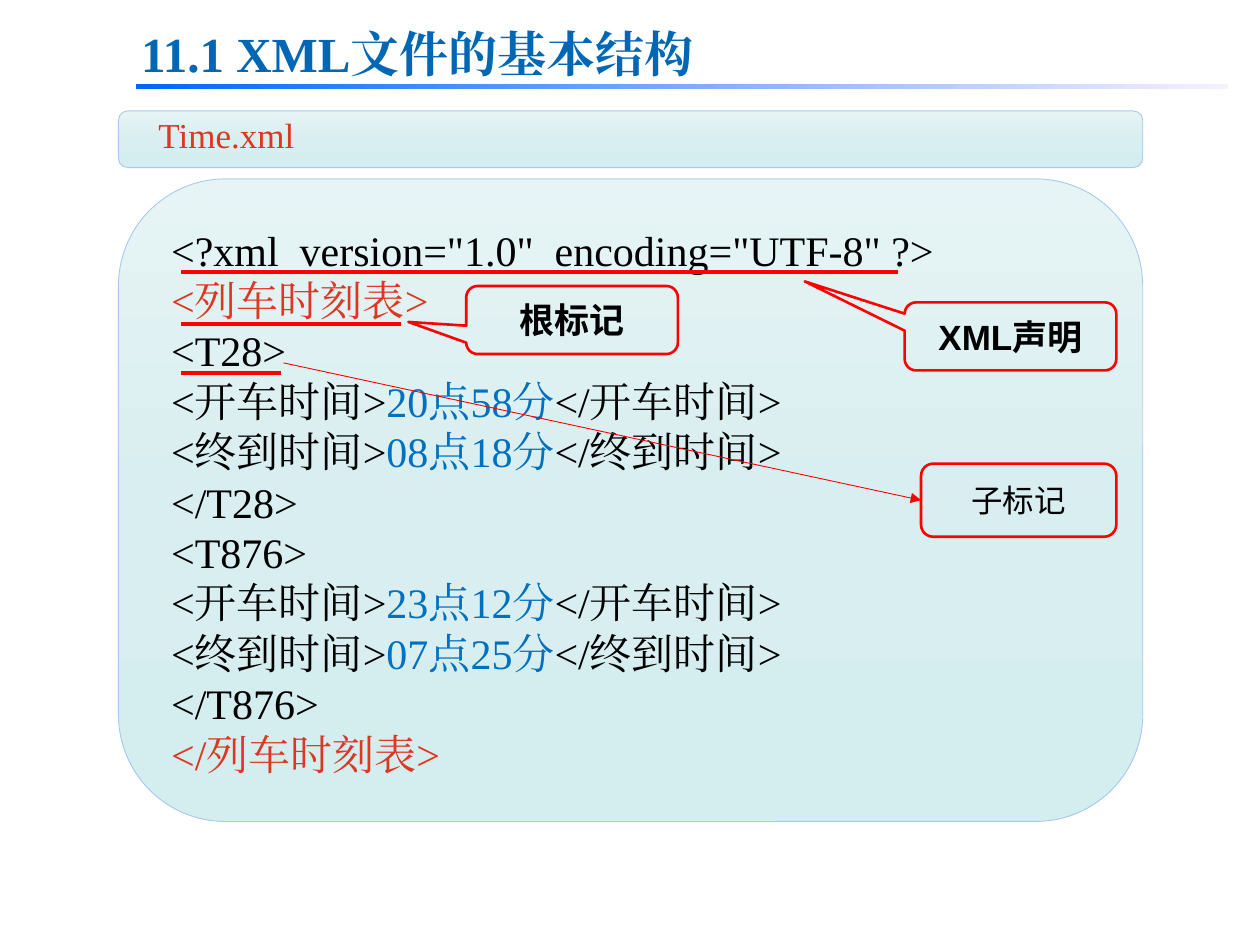
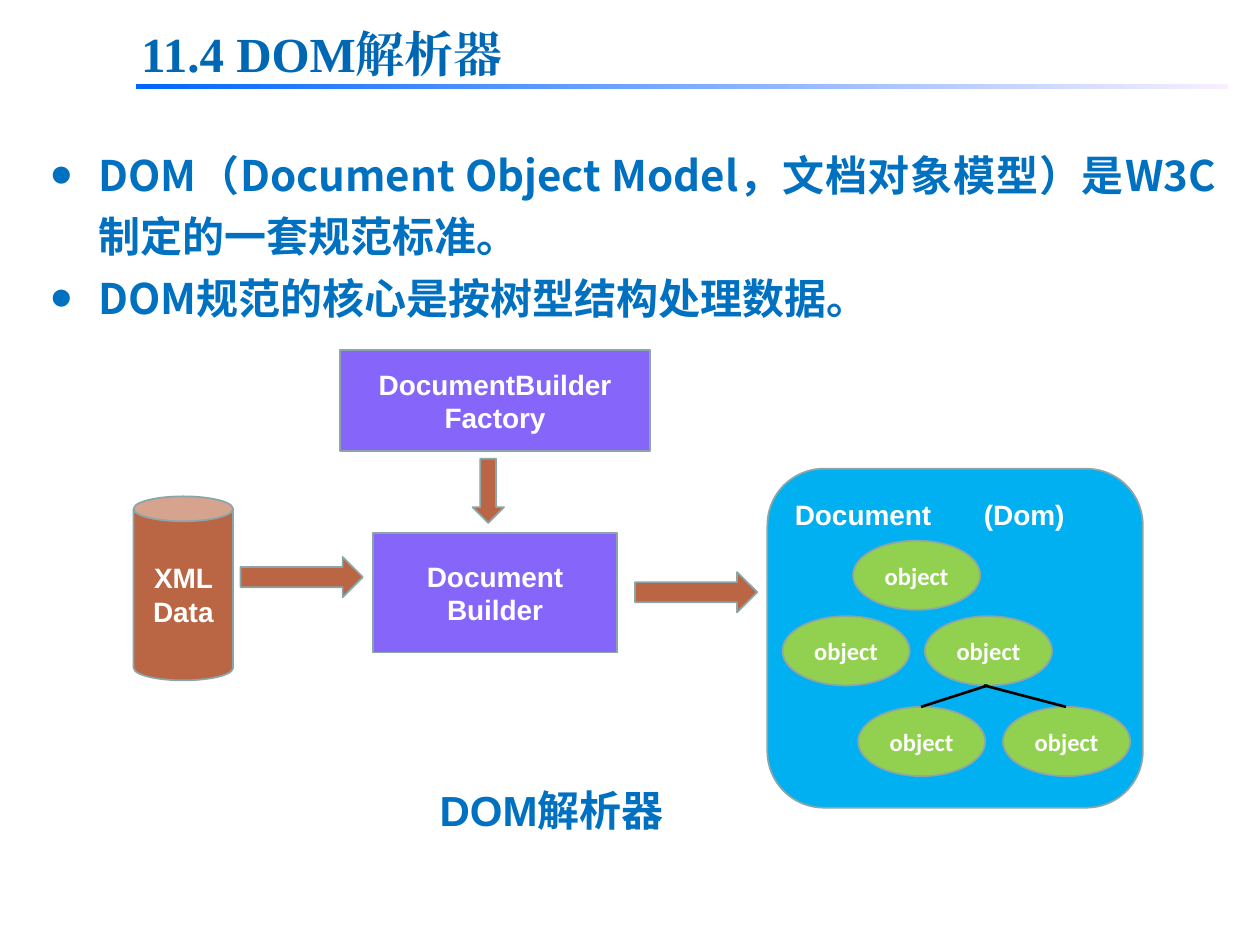
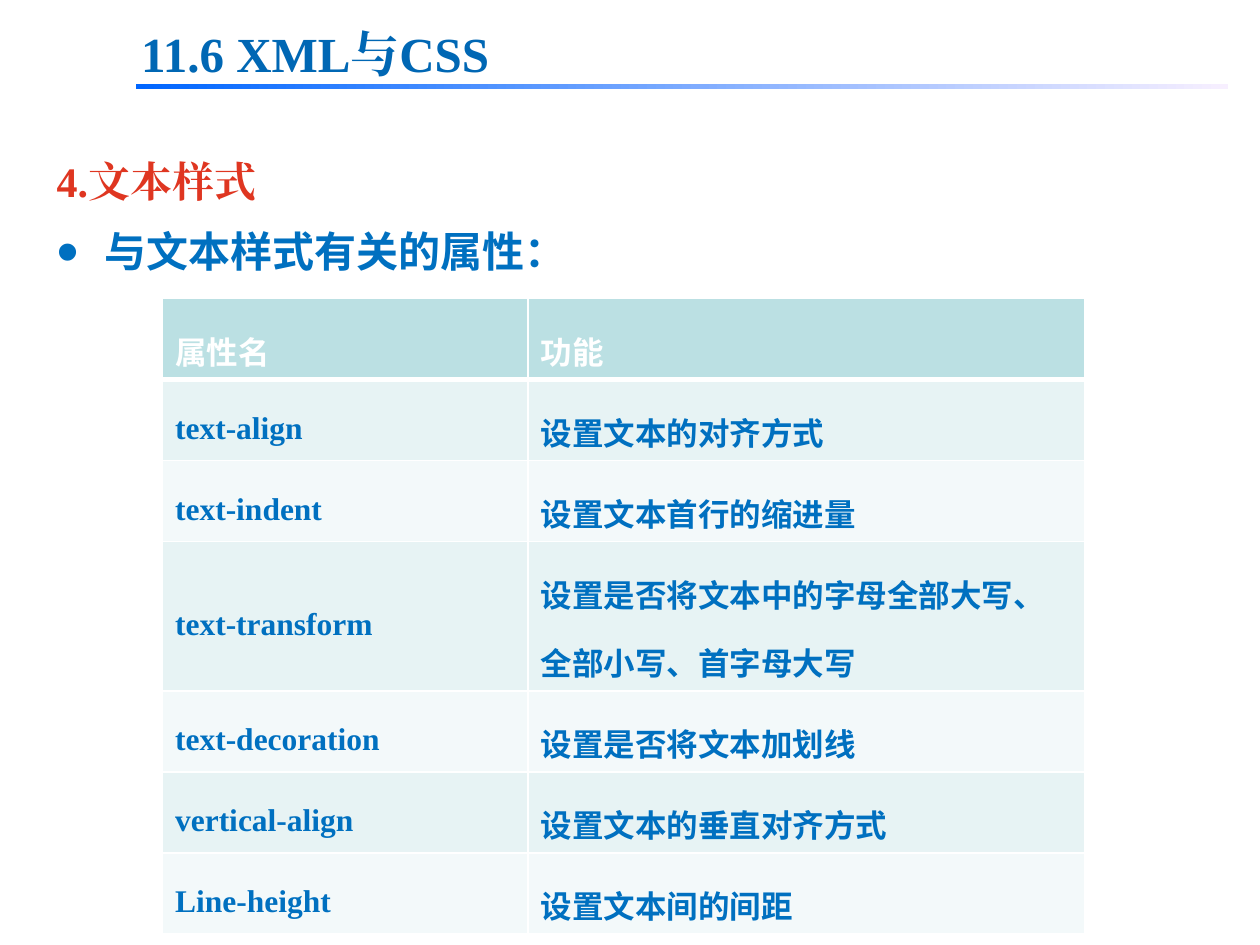
from copy import deepcopy

from lxml.etree import SubElement
from pptx import Presentation
from pptx.dml.color import RGBColor
from pptx.enum.shapes import MSO_CONNECTOR, MSO_SHAPE
from pptx.enum.text import MSO_ANCHOR, MSO_AUTO_SIZE, PP_ALIGN
from pptx.oxml.ns import qn
from pptx.util import Inches, Pt

# Shared colours and fonts
BLACK = RGBColor(0x00, 0x00, 0x00)
WHITE = RGBColor(0xFF, 0xFF, 0xFF)
RED = RGBColor(0xFF, 0x00, 0x00)
BRICK = RGBColor(0xDF, 0x36, 0x21)
BLUE = RGBColor(0x00, 0x70, 0xC0)
NAVY = RGBColor(0x00, 0x67, 0xB4)
PURPLE = RGBColor(0x86, 0x66, 0xFA)
RUST = RGBColor(0xBA, 0x66, 0x44)
SKY = RGBColor(0x00, 0xB0, 0xF0)
GREEN = RGBColor(0x92, 0xD0, 0x50)
GREY = RGBColor(0x8A, 0xA6, 0xA8)
EDGE = RGBColor(0xA8, 0xC9, 0xEF)
HEAD = RGBColor(0xBB, 0xE0, 0xE3)
ROWS = [RGBColor(0xE7, 0xF3, 0xF4), RGBColor(0xF3, 0xF9, 0xFA)]
BAND = [RGBColor(0x00, 0x66, 0xFF), RGBColor(0xF7, 0xEF, 0xFF)]
PALE = [RGBColor(0xE6, 0xF4, 0xF5), RGBColor(0xD9, 0xEE, 0xF0),
        RGBColor(0xD4, 0xED, 0xEF)]
SERIF, SANS, ROUND = "Times New Roman", "Arial", "Calibri"
HAN = "Noto Sans CJK SC"


def place(left, top, width, height):
    return Inches(left), Inches(top), Inches(width), Inches(height)


def write(frame, lines, size=16, font=SANS, color=BLACK, bold=False,
          align=PP_ALIGN.LEFT, space=None, east=None, bullet=False,
          before=0, tab=None, more=False):
    """Write lines; each is a string or a list of (text, colour) runs."""
    for num, line in enumerate(lines):
        fresh = more or num
        para = frame.add_paragraph() if fresh else frame.paragraphs[0]
        para.alignment = align
        para.line_spacing = space or Pt(1.2 * size)
        para.space_before, para.space_after = Pt(before), Pt(0)
        props = para._p.get_or_add_pPr()
        props.set("marL", str(Inches(0.38 if bullet else 0)))
        props.set("indent", str(Inches(-0.38 if bullet else 0)))
        if bullet:
            SubElement(props, qn("a:buSzPct"), val="150000")
            SubElement(props, qn("a:buFont"), typeface=SANS)
            SubElement(props, qn("a:buChar"), char="•")
        else:
            SubElement(props, qn("a:buNone"))
        if tab:
            stops = SubElement(props, qn("a:tabLst"))
            SubElement(stops, qn("a:tab"), pos=str(Inches(tab)), algn="l")
        for text, tint in [(line, color)] if isinstance(line, str) else line:
            run = para.add_run()
            run.text = text
            run.font.size, run.font.bold = Pt(size), bold
            run.font.color.rgb = tint
            run.font.name = font
            SubElement(run._r.rPr, qn("a:ea"), typeface=east or font)


def label(slide, spot, lines, **fmt):
    box = slide.shapes.add_textbox(*place(*spot))
    box.text_frame.word_wrap = True
    write(box.text_frame, lines, **fmt)


def shape(slide, kind, spot, fill=None, line=None, width=1, text=None,
          adjust=(), inset=0.1, **fmt):
    """Add a preset shape; a list of fill colours makes a gradient."""
    item = slide.shapes.add_shape(kind, *place(*spot))
    item.shadow.inherit = False
    for num, value in enumerate(adjust):
        item.adjustments[num] = value
    if isinstance(fill, list):
        blend(item, fill)
    elif fill is None:
        item.fill.background()
    else:
        item.fill.solid()
        item.fill.fore_color.rgb = fill
    if line is None:
        item.line.fill.background()
    else:
        item.line.color.rgb, item.line.width = line, Pt(width)
    if text:
        frame = item.text_frame
        frame.word_wrap = True
        frame.vertical_anchor = MSO_ANCHOR.MIDDLE
        frame.margin_left = frame.margin_right = Inches(inset)
        write(frame, [text], align=PP_ALIGN.CENTER, **fmt)
    return item


def blend(item, colors):
    item.fill.gradient()
    stops = item._element.spPr.find(".//" + qn("a:gsLst"))
    while len(stops) < len(colors):
        stops.append(deepcopy(stops[0]))
    for num, (stop, color) in enumerate(zip(item.fill.gradient_stops, colors)):
        stop.color.rgb = color
        stop.position = num / (len(colors) - 1)


def stroke(slide, start, end, color, width, arrow=False):
    line = slide.shapes.add_connector(
        MSO_CONNECTOR.STRAIGHT, *map(Inches, start + end))
    line.line.color.rgb, line.line.width = color, Pt(width)
    if arrow:
        SubElement(line.line._get_or_add_ln(), qn("a:tailEnd"), type="triangle")
    SubElement(line._element.spPr, qn("a:effectLst"))


def holder(item, spot):
    """Move a placeholder and return its plain text frame."""
    item.left, item.top, item.width, item.height = place(*spot)
    frame = item.text_frame
    frame.auto_size = MSO_AUTO_SIZE.NONE
    frame.vertical_anchor = MSO_ANCHOR.TOP
    frame.word_wrap = True
    return frame


def page(deck, layout, title):
    """Add a slide with the shared title and gradient band."""
    slide = deck.slides.add_slide(deck.slide_layouts[layout])
    write(holder(slide.shapes.title, (1.02, 0.14, 5.09, 0.57)), [title],
          size=28, font=SERIF, color=NAVY, bold=True, align=PP_ALIGN.JUSTIFY)
    band = shape(slide, MSO_SHAPE.RECTANGLE, (1.08, 0.67, 8.67, 0.04), BAND)
    band.fill.gradient_angle = 0
    return slide


def panel(slide, spot):
    item = shape(slide, MSO_SHAPE.ROUNDED_RECTANGLE, spot, PALE, EDGE, 0.5)
    item.fill.gradient_angle = 270


def train(name, start, end):
    """Return the code lines of one train."""
    pairs = [("开车时间", start), ("终到时间", end)]
    rows = [[(f"<{tag}>", BLACK), (time, BLUE), (f"</{tag}>", BLACK)]
            for tag, time in pairs]
    return [f"<{name}>", *rows, f"</{name}>"]


def grid(slide, spot, widths, heights, rows):
    table = slide.shapes.add_table(
        len(rows), len(widths), *place(*spot)).table
    for col, width in zip(table.columns, widths):
        col.width = Inches(width)
    for num, (row, height) in enumerate(zip(rows, heights)):
        table.rows[num].height = Inches(height)
        for col, text in enumerate(row):
            cell = table.cell(num, col)
            cell.vertical_anchor = MSO_ANCHOR.MIDDLE
            cell.fill.solid()
            cell.fill.fore_color.rgb = ROWS[(num - 1) % 2] if num else HEAD
            write(cell.text_frame, [text], size=18, font=SERIF, east=HAN,
                  color=BLUE if num else WHITE, bold=True, space=1.5)
            border(cell, top=1 if num != 1 else 3, bottom=1 if num else 3)


def border(cell, top, bottom):
    props = cell._tc.get_or_add_tcPr()
    sides = [("L", 1), ("R", 1), ("T", top), ("B", bottom)]
    for num, (side, width) in enumerate(sides):
        line = SubElement(props, qn(f"a:ln{side}"), w=str(Pt(width)))
        fill = SubElement(line, qn("a:solidFill"))
        SubElement(fill, qn("a:srgbClr"), val=str(WHITE))
        props.insert(num, line)


def xml_page(deck):
    slide = page(deck, 5, "11.1 XML文件的基本结构")
    # Code panel and its file name
    panel(slide, (0.94, 1.42, 8.13, 5.1))
    panel(slide, (0.94, 0.88, 8.13, 0.45))
    code = ['<?xml  version="1.0"  encoding="UTF-8" ?>',
            [("<列车时刻表>", BRICK)],
            *train("T28", "20点58分", "08点18分"),
            *train("T876", "23点12分", "07点25分"),
            [("</列车时刻表>", BRICK)]]
    label(slide, (1.26, 1.73, 7.68, 4.54), code, size=24, font=SERIF,
          align=PP_ALIGN.JUSTIFY)
    label(slide, (1.16, 0.85, 3, 0.44), ["Time.xml"], size=20, font=SERIF,
          color=BRICK, align=PP_ALIGN.JUSTIFY)
    # Underlines
    for end, top in [(7.13, 2.16), (3.18, 2.57), (2.23, 2.96)]:
        stroke(slide, (1.44, top), (end, top), RED, 2)
    # Callouts
    notes = [("XML声明", 7.18, 2.4, (-0.972, -0.808, 0.167)),
             ("根标记", 3.7, 2.27, (-0.773, 0.029, 0.167))]
    for text, left, top, adjust in notes:
        shape(slide, MSO_SHAPE.ROUNDED_RECTANGULAR_CALLOUT,
              (left, top, 1.68, 0.54), line=RED, width=1.5, text=text,
              adjust=adjust, size=20, bold=True)
    shape(slide, MSO_SHAPE.ROUNDED_RECTANGLE, (7.31, 3.68, 1.55, 0.58),
          line=RED, width=1.5, text="子标记", size=18)
    stroke(slide, (2.25, 2.88), (7.31, 3.97), RED, 0.5, arrow=True)


def dom_page(deck):
    slide = page(deck, 1, "11.4 DOM解析器")
    points = ["DOM（Document Object Model，文档对象模型）是W3C制定的一套规范标准。",
              "DOM规范的核心是按树型结构处理数据。"]
    write(holder(slide.placeholders[1], (0.3, 1.05, 9.45, 1.6)), points,
          size=24, font=HAN, color=BLUE, bold=True, space=Pt(35),
          align=PP_ALIGN.JUSTIFY, bullet=True)
    # Stages of parsing
    stages = [
        (MSO_SHAPE.CAN, (1.06, 3.94, 0.79, 1.46), RUST, "XML Data"),
        (MSO_SHAPE.RECTANGLE, (2.96, 4.23, 1.94, 0.95), PURPLE,
         "Document Builder"),
        (MSO_SHAPE.RECTANGLE, (2.7, 2.78, 2.46, 0.8), PURPLE,
         "DocumentBuilder Factory"),
        (MSO_SHAPE.ROUNDED_RECTANGLE, (6.09, 3.72, 2.98, 2.69), SKY, None),
        (MSO_SHAPE.RIGHT_ARROW, (1.91, 4.42, 0.97, 0.32), RUST, None),
        (MSO_SHAPE.RIGHT_ARROW, (5.04, 4.54, 0.97, 0.32), RUST, None),
        (MSO_SHAPE.DOWN_ARROW, (3.75, 3.64, 0.25, 0.51), RUST, None)]
    for kind, spot, fill, text in stages:
        shape(slide, kind, spot, fill, GREY, text=text, color=WHITE, bold=True)
    # Object tree
    label(slide, (6.21, 3.9, 2.68, 0.37), ["Document\t(Dom)"], color=WHITE,
          bold=True, tab=1.69)
    nodes = [(6.77, 4.29), (6.21, 4.89), (7.34, 4.89), (6.81, 5.61),
             (7.96, 5.61)]
    for left, top in nodes:
        shape(slide, MSO_SHAPE.OVAL, (left, top, 1.01, 0.55), GREEN, GREY,
              text="object", inset=0.05, size=14, font=ROUND, color=WHITE,
              bold=True)
    stroke(slide, (7.84, 5.44), (7.31, 5.61), BLACK, 1.5)
    stroke(slide, (7.81, 5.44), (8.46, 5.61), BLACK, 1.5)
    label(slide, (3.39, 6.18, 2.48, 0.5), ["DOM解析器"], size=24, color=BLUE,
          bold=True)


def css_page(deck):
    slide = page(deck, 1, "11.6 XML与CSS")
    frame = holder(slide.placeholders[1], (0.35, 0.99, 9.39, 6.3))
    write(frame, ["4.文本样式"], size=24, font=SERIF, color=BRICK, bold=True,
          space=Pt(43), align=PP_ALIGN.JUSTIFY)
    write(frame, ["与文本样式有关的属性："], size=24, font=HAN, color=BLUE,
          bold=True, space=Pt(38), bullet=True, before=2, more=True)
    # Property table
    rows = [("属性名", "功能"),
            ("text-align", "设置文本的对齐方式"),
            ("text-indent", "设置文本首行的缩进量"),
            ("text-transform", "设置是否将文本中的字母全部大写、全部小写、首字母大写"),
            ("text-decoration", "设置是否将文本加划线"),
            ("vertical-align", "设置文本的垂直对齐方式"),
            ("Line-height", "设置文本间的间距")]
    heights = [1.1 if row[0] == "text-transform" else 0.6 for row in rows]
    grid(slide, (1.29, 2.37, 7.32, 4.7), (2.9, 4.42), heights, rows)


def main():
    deck = Presentation()
    deck.slide_width, deck.slide_height = Inches(10), Inches(7.5)
    xml_page(deck)
    dom_page(deck)
    css_page(deck)
    deck.save("out.pptx")


if __name__ == "__main__":
    main()
